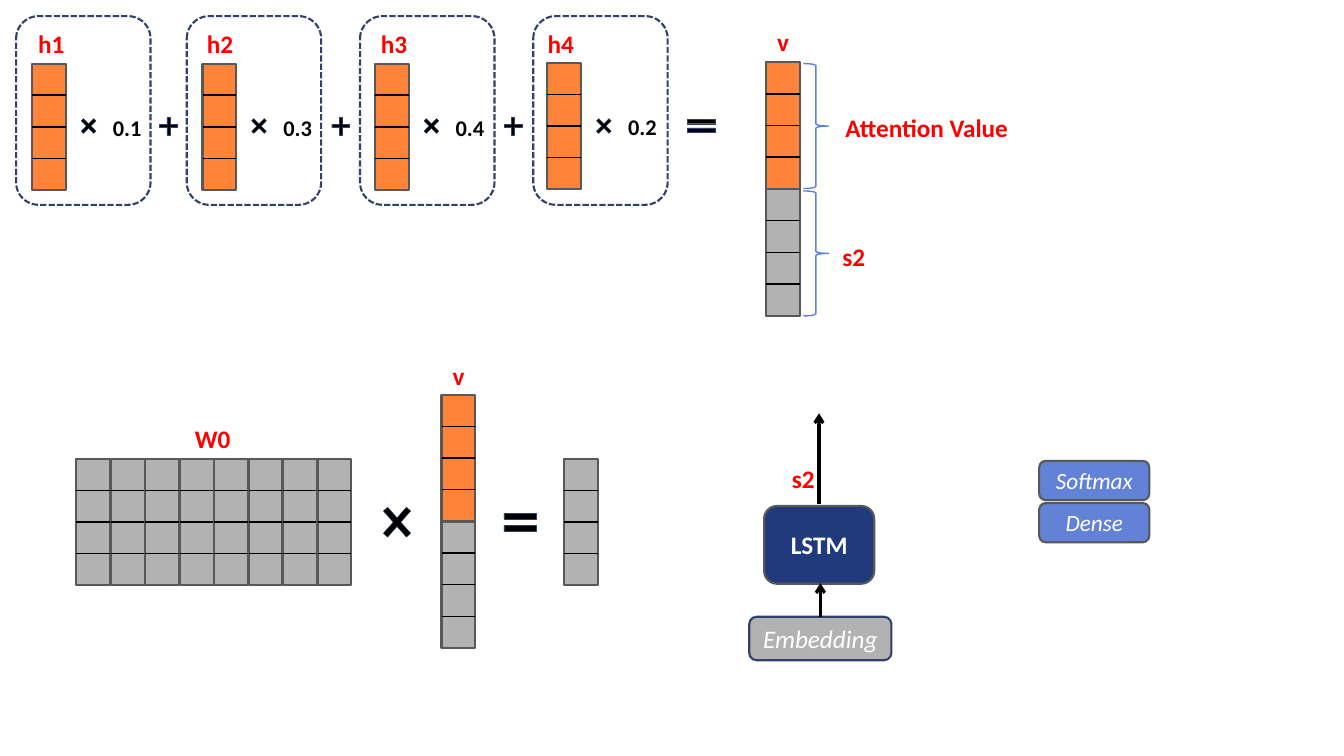
"""Build the attention slide: weighted sum, projection and LSTM step."""
from lxml.etree import SubElement
from pptx import Presentation
from pptx.dml.color import RGBColor
from pptx.enum.dml import MSO_LINE
from pptx.enum.shapes import MSO_CONNECTOR, MSO_SHAPE
from pptx.enum.text import MSO_ANCHOR, PP_ALIGN
from pptx.oxml.ns import qn
from pptx.util import Pt

BLACK = RGBColor(0x00, 0x00, 0x00)
WHITE = RGBColor(0xFF, 0xFF, 0xFF)
RED = RGBColor(0xFF, 0x00, 0x00)
ORANGE = RGBColor(0xFF, 0x84, 0x3A)
GRAY = RGBColor(0xB2, 0xB2, 0xB2)
DARK_GRAY = RGBColor(0x58, 0x58, 0x58)
NAVY = RGBColor(0x20, 0x3A, 0x7B)
SLATE = RGBColor(0x30, 0x41, 0x6A)
BLUE = RGBColor(0x61, 0x82, 0xD6)
BRACE_BLUE = RGBColor(0x5E, 0x81, 0xD9)

CELL_W, CELL_H, CELLS = 24.2, 22.6, 4
COLUMN_H = 90.5
VECTOR_Y, MATRIX_Y = 45.4, 327.6

prs = Presentation()
prs.slide_width, prs.slide_height = Pt(960), Pt(540)
s = prs.slides.add_slide(prs.slide_layouts[6])


def add_box(text, x, y, w, h, shape=None, adj=(), fill=None, line=DARK_GRAY,
            weight=1.5, size=18, color=RED, bold=True, italic=False):
    box = tuple(Pt(v) for v in (x, y, w, h))
    if shape is None:
        sp = s.shapes.add_textbox(*box)
    else:
        sp = s.shapes.add_shape(shape, *box)
        sp.shadow.inherit = False
        for i, value in enumerate(adj):
            sp.adjustments[i] = value
        if fill is None:
            sp.fill.background()
        else:
            sp.fill.solid()
            sp.fill.fore_color.rgb = fill
        sp.line.color.rgb = line
        sp.line.width = Pt(weight)
    if text:
        tf = sp.text_frame
        tf.word_wrap = False
        tf.vertical_anchor = MSO_ANCHOR.MIDDLE
        p = tf.paragraphs[0]
        p.alignment = PP_ALIGN.CENTER
        r = p.add_run()
        r.text = text
        r.font.name = "Calibri"
        r.font.size = Pt(size)
        r.font.bold = bold
        r.font.italic = italic
        r.font.color.rgb = color
    return sp


def add_line(x1, y1, x2, y2, weight=1, arrow=False):
    cn = s.shapes.add_connector(MSO_CONNECTOR.STRAIGHT, Pt(x1), Pt(y1), Pt(x2), Pt(y2))
    cn.line.color.rgb = BLACK
    cn.line.width = Pt(weight)
    if arrow:
        SubElement(cn.line._get_or_add_ln(), qn("a:tailEnd"), type="arrow")
    SubElement(cn._element.spPr, qn("a:effectLst"))


terms = [
    ("h1", "0.1", 11.5, 23, 18.7, VECTOR_Y),
    ("h2", "0.3", 133.4, 144.7, 139.2, VECTOR_Y),
    ("h3", "0.4", 257.2, 267.8, 263.5, VECTOR_Y),
    ("h4", "0.2", 380.9, 391, 382.5, VECTOR_Y - 0.7),
]
columns = []
operators = [(MSO_SHAPE.MATH_EQUAL, 487.4, 77, 27.4, 25.9),
             (MSO_SHAPE.MATH_MULTIPLY, 267.8, 355, 31.7, 36),
             (MSO_SHAPE.MATH_EQUAL, 355.7, 355.7, 31.7, 34.6)]
for name, weight, frame_x, x, label_x, y in terms:
    frame = add_box("", frame_x, 11.5, 96, 134.8, MSO_SHAPE.ROUNDED_RECTANGLE,
                    adj=[0.167], fill=WHITE, line=SLATE)
    frame.line.dash_style = MSO_LINE.SQUARE_DOT
    add_box(name, label_x, 16.6, 36, 28.8)
    add_box(weight, x + 50.2, y + 32.3, 35.3, 26.6, size=16, color=BLACK)
    columns.append((x, y, ORANGE))
    operators.append((MSO_SHAPE.MATH_MULTIPLY, x + 31.7, 81.4, 17.3, 17.3))
for x in (111.6, 234.7, 357.8):
    operators.append((MSO_SHAPE.MATH_PLUS, x, 81.4, 17.3, 17.3))

for x, y in ((547.2, 44.5), (315.4, 282)):
    columns += [(x, y, ORANGE), (x, y + COLUMN_H, GRAY)]
columns += [(54.6 + 24.6 * i, MATRIX_Y, GRAY) for i in range(8)]
columns.append((403.2, MATRIX_Y, GRAY))
for x, y, fill in columns:
    add_box("", x, y, CELL_W, COLUMN_H, MSO_SHAPE.RECTANGLE, fill=fill)
    for i in range(1, CELLS):
        add_line(x, y + CELL_H * i, x + CELL_W, y + CELL_H * i)

operator_adj = {MSO_SHAPE.MATH_MULTIPLY: [0.13], MSO_SHAPE.MATH_PLUS: [0.127],
                MSO_SHAPE.MATH_EQUAL: [0.129, 0.118]}
for shape, x, y, w, h in operators:
    add_box("", x, y, w, h, shape, adj=operator_adj[shape],
            fill=BLACK, line=SLATE, weight=0.25)

for y in (45.4, 136.4):
    add_box("", 573.8, y, 18, 89.3, MSO_SHAPE.RIGHT_BRACE, adj=[0.083, 0.5],
            line=BRACE_BLUE, weight=1)

for text, x, y, w in [("v", 541.4, 15.3, 36), ("Attention Value", 594.7, 77, 134.6),
                      ("s2", 591.8, 168.7, 36), ("v", 309.6, 253.6, 36),
                      ("W0", 130.3, 298.8, 43.2), ("s2", 555.8, 327.6, 36)]:
    add_box(text, x, y, w, 28.8)

for text, x, y, w, h, fill, line, size, bold in [
    ("LSTM", 545.8, 361.4, 78.7, 55.6, NAVY, DARK_GRAY, 18, True),
    ("Embedding", 535.2, 440.6, 101.5, 31, GRAY, SLATE, 18, False),
    ("Dense", 742.3, 359.3, 78.7, 28.1, BLUE, DARK_GRAY, 16.6, False),
    ("Softmax", 742.3, 329.2, 78.7, 28.1, BLUE, DARK_GRAY, 16.6, False),
]:
    add_box(text, x, y, w, h, MSO_SHAPE.ROUNDED_RECTANGLE, adj=[0.167], fill=fill,
            line=line, size=size, color=WHITE, bold=bold, italic=not bold)

add_line(586, 440.6, 586, 416.5, weight=2.25, arrow=True)
add_line(585, 360, 585, 295.2, weight=2.25, arrow=True)

prs.save("out.pptx")
